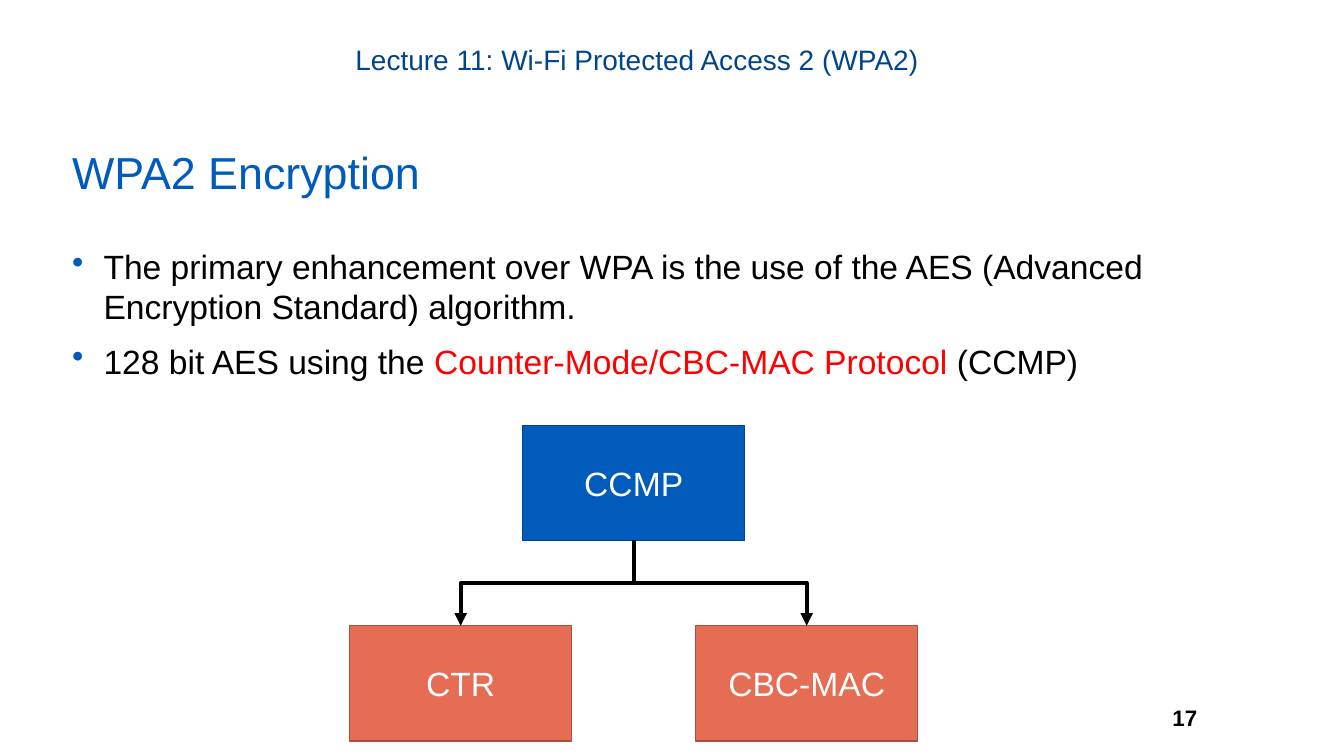
from lxml import etree
from pptx import Presentation
from pptx.dml.color import RGBColor
from pptx.enum.shapes import MSO_CONNECTOR, MSO_SHAPE
from pptx.enum.text import MSO_ANCHOR, PP_ALIGN
from pptx.oxml.ns import qn
from pptx.util import Cm, Pt

RECT, ELBOW = MSO_SHAPE.RECTANGLE, MSO_CONNECTOR.ELBOW
LEFT, CENTER, RIGHT = PP_ALIGN.LEFT, PP_ALIGN.CENTER, PP_ALIGN.RIGHT
TOP, MIDDLE = MSO_ANCHOR.TOP, MSO_ANCHOR.MIDDLE

HEADER = "Lecture 11: Wi-Fi Protected Access 2 (WPA2)"
TITLE = "WPA2 Encryption"
PAGE = "17"
BULLETS = [
    [("The primary enhancement over WPA is the use of the AES "
      "(Advanced Encryption Standard) algorithm.", "black")],
    [("128 bit AES using the ", "black"),
     ("Counter-Mode/CBC-MAC Protocol ", "red"),
     ("(CCMP)", "black")],
]
ROOT = "CCMP"
PARTS = ["CTR", "CBC-MAC"]

COLORS = {
    "black": "000000", "white": "FFFFFF", "red": "FF0000",
    "blue": "005BBB", "navy": "00448C", "blue_edge": "00438A",
    "coral": "E56D54", "coral_edge": "A9513E",
}
FONT = "Arial"

MARGIN, TEXT_W = 1.57, 29.21
BOX_W, BOX_H = 5.59, 2.9
CENTER_X, ROOT_Y, PART_Y = 15.97, 10.72, 15.77
PART_STEP = 8.72


def rgb(name):
    return RGBColor.from_string(COLORS[name])


def add_bullet(p):
    pPr = p._p.get_or_add_pPr()
    pPr.set("marL", str(Cm(0.79)))
    pPr.set("indent", str(-Cm(0.79)))
    buClr = etree.SubElement(pPr, qn("a:buClr"))
    etree.SubElement(buClr, qn("a:srgbClr"), val=COLORS["blue"])
    etree.SubElement(pPr, qn("a:buChar"), char="•")


def write(sp, text, size=24, color="black", bold=False, align=LEFT, anchor=TOP,
          bullet=False, before=0, line=None, insets=(0.25, 0.13, 0.25, 0.13)):
    tf = sp.text_frame
    tf.word_wrap = True
    tf.vertical_anchor = anchor
    tf.margin_left, tf.margin_top, tf.margin_right, tf.margin_bottom = map(Cm, insets)
    paragraphs = [[(text, color)]] if isinstance(text, str) else text
    for i, runs in enumerate(paragraphs):
        p = tf.add_paragraph() if i else tf.paragraphs[0]
        if bullet:
            add_bullet(p)
        p.alignment = align
        if i:
            p.space_before = Pt(before)
        if line:
            p.line_spacing = line
        for words, shade in runs:
            r = p.add_run()
            r.text = words
            r.font.name = FONT
            r.font.size = Pt(size)
            r.font.bold = bold
            r.font.color.rgb = rgb(shade)


def add_text(x, y, w, h, text, **fmt):
    write(s.shapes.add_textbox(Cm(x), Cm(y), Cm(w), Cm(h)), text, **fmt)


def add_box(center_x, y, text, fill):
    sp = s.shapes.add_shape(RECT, Cm(center_x - BOX_W / 2), Cm(y), Cm(BOX_W), Cm(BOX_H))
    sp.shadow.inherit = False
    sp.fill.solid()
    sp.fill.fore_color.rgb = rgb(fill)
    sp.line.color.rgb = rgb(fill + "_edge")
    sp.line.width = Pt(1)
    write(sp, text, color="white", align=CENTER, anchor=MIDDLE)
    return sp


def add_elbow_down(parent, child):
    x1, y1 = parent.left + parent.width // 2, parent.top + parent.height
    x2, y2 = child.left + child.width // 2, child.top
    cxn = s.shapes.add_connector(ELBOW, x1, y1, x2, y2)
    cxn.begin_connect(parent, 2)
    cxn.end_connect(child, 0)
    cxn.width, cxn.height = y2 - y1, abs(x2 - x1)
    cxn.left = (x1 + x2 - cxn.width) // 2
    cxn.top = (y1 + y2 - cxn.height) // 2
    to_right = x2 > x1
    spPr = cxn._element.spPr
    xfrm = spPr.find(qn("a:xfrm"))
    xfrm.set("rot", str((270 if to_right else 90) * 60000))
    xfrm.set("flipH", "1" if to_right else "0")
    cxn.line.color.rgb = rgb("black")
    cxn.line.width = Pt(3)
    etree.SubElement(cxn.line._get_or_add_ln(), qn("a:tailEnd"), type="triangle")
    etree.SubElement(spPr, qn("a:effectLst"))


prs = Presentation()
prs.slide_width, prs.slide_height = Cm(33.87), Cm(19.05)
s = prs.slides.add_slide(prs.slide_layouts[6])

add_text(28.5, 17.35, 2, 1.47, PAGE, size=16, bold=True, align=RIGHT,
         anchor=MIDDLE, insets=(0.33, 0.18, 0.33, 0.18))
add_text(6.96, 0.94, 18.44, 0.94, HEADER, size=20, color="navy", align=CENTER,
         insets=(0, 0.13, 0.25, 0.13))
add_text(MARGIN, 6.07, TEXT_W, 4.01, BULLETS, bullet=True, before=10)
add_text(MARGIN, 3.66, TEXT_W, 2.41, TITLE, size=32, color="blue", line=0.9)

root = add_box(CENTER_X, ROOT_Y, ROOT, "blue")
for i, name in enumerate(PARTS):
    offset = (i - (len(PARTS) - 1) / 2) * PART_STEP
    add_elbow_down(root, add_box(CENTER_X + offset, PART_Y, name, "coral"))

prs.save("out.pptx")
